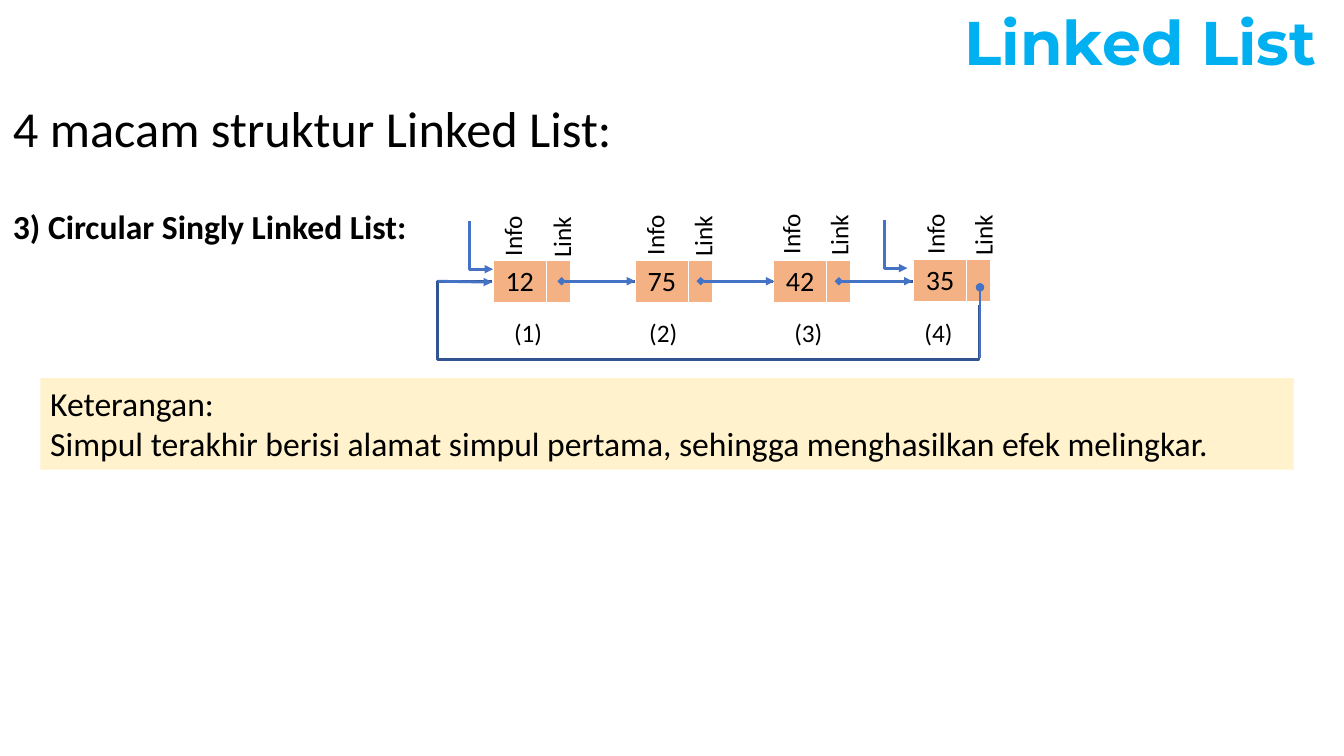
from lxml import etree
from pptx import Presentation
from pptx.dml.color import RGBColor
from pptx.enum.shapes import MSO_CONNECTOR, MSO_SHAPE
from pptx.enum.text import MSO_ANCHOR, MSO_AUTO_SIZE, PP_ALIGN
from pptx.oxml.ns import qn
from pptx.util import Inches, Pt

STRAIGHT, ELBOW = MSO_CONNECTOR.STRAIGHT, MSO_CONNECTOR.ELBOW
RECTANGLE = MSO_SHAPE.RECTANGLE
MIDDLE, TOP = MSO_ANCHOR.MIDDLE, MSO_ANCHOR.TOP
LEFT, CENTER, RIGHT = PP_ALIGN.LEFT, PP_ALIGN.CENTER, PP_ALIGN.RIGHT
FIT_SHAPE, NO_FIT = MSO_AUTO_SIZE.SHAPE_TO_FIT_TEXT, MSO_AUTO_SIZE.NONE

COLORS = {
    "title": "00B0F0",
    "text": "000000",
    "node": "F4B183",
    "border": "FFFFFF",
    "arrow": "4472C4",
    "loop": "325491",
    "note": "FFF2CC",
}

# value, node left, node top, Info left, Info top, Link left, number left
NODES = [
    ("12", 4.89, 2.58, 4.78, 2.14, 5.26, 5.0),
    ("75", 6.3, 2.58, 6.19, 2.13, 6.66, 6.34),
    ("42", 7.67, 2.58, 7.54, 2.12, 8.01, 7.78),
    ("35", 9.06, 2.57, 8.97, 2.12, 9.44, 9.07),
]
NODE_COLS = (0.53, 0.23)
NODE_HEIGHT = 0.43
LINK_Y = 2.79
LOOP_LEFT = 4.34


def rgb(name):
    return RGBColor.from_string(COLORS[name])


def add_run(p, text, size, color="text", font="Calibri", bold=False):
    r = p.add_run()
    r.text = text
    r.font.size = Pt(size)
    r.font.name = font
    r.font.bold = bold
    r.font.color.rgb = rgb(color)


def add_title(slide, text):
    sp = slide.shapes.title
    sp.left, sp.top = Inches(0), Inches(-0.03)
    sp.width, sp.height = Inches(13.16), Inches(0.96)
    tf = sp.text_frame
    tf.vertical_anchor = MIDDLE
    tf.auto_size = NO_FIT
    p = tf.paragraphs[0]
    p.alignment = RIGHT
    p.line_spacing = 0.9
    add_run(p, text, 44, "title", "Montserrat", True)


def add_label(slide, text, x, y, w, h, size, bold=False, wrap=False, rotation=0):
    sp = slide.shapes.add_textbox(Inches(x), Inches(y), Inches(w), Inches(h))
    sp.rotation = rotation
    tf = sp.text_frame
    tf.word_wrap = wrap
    tf.auto_size = FIT_SHAPE
    add_run(tf.paragraphs[0], text, size, bold=bold)


def add_rectangle(slide, x, y, w, h):
    sp = slide.shapes.add_shape(RECTANGLE, Inches(x), Inches(y), Inches(w), Inches(h))
    sp.shadow.inherit = False
    return sp


def add_loop(slide):
    """Outline that carries the last link back to the first node."""
    sp = add_rectangle(slide, LOOP_LEFT, LINK_Y, 5.37, 0.78)
    sp.fill.background()
    sp.line.color.rgb = rgb("loop")
    sp.line.width = Pt(2)


def add_note(slide, lines):
    sp = add_rectangle(slide, 0.4, 3.75, 12.43, 0.91)
    sp.fill.solid()
    sp.fill.fore_color.rgb = rgb("note")
    sp.line.fill.background()
    tf = sp.text_frame
    tf.word_wrap = True
    tf.vertical_anchor = TOP
    tf.auto_size = FIT_SHAPE
    for i, line in enumerate(lines):
        p = tf.add_paragraph() if i else tf.paragraphs[0]
        p.alignment = LEFT
        add_run(p, line, 24)


def set_borders(cell):
    tc_pr = cell._tc.get_or_add_tcPr()
    for side, points in (("L", 1), ("R", 1), ("T", 1), ("B", 3)):
        ln = etree.SubElement(tc_pr, qn(f"a:ln{side}"), w=str(Pt(points)))
        fill = etree.SubElement(ln, qn("a:solidFill"))
        etree.SubElement(fill, qn("a:srgbClr"), val=COLORS["border"])


def add_node(slide, value, x, y):
    frame = slide.shapes.add_table(1, 2, Inches(x), Inches(y),
                                   Inches(sum(NODE_COLS)), Inches(NODE_HEIGHT))
    table = frame.table
    table.first_row = table.horz_banding = False
    for i, width in enumerate(NODE_COLS):
        table.columns[i].width = Inches(width)
        cell = table.cell(0, i)
        set_borders(cell)
        cell.fill.solid()
        cell.fill.fore_color.rgb = rgb("node")
    p = table.cell(0, 0).text_frame.paragraphs[0]
    p.alignment = CENTER
    add_run(p, value, 20)


def add_arrow(slide, x1, y1, x2, y2, head=None, tail=None, kind=STRAIGHT):
    line = slide.shapes.add_connector(kind, Inches(x1), Inches(y1), Inches(x2), Inches(y2))
    line.line.color.rgb = rgb("arrow")
    line.line.width = Pt(2)
    ln = line.line._get_or_add_ln()
    for tag, end in (("a:headEnd", head), ("a:tailEnd", tail)):
        if end:
            etree.SubElement(ln, qn(tag), type=end)
    etree.SubElement(line._element.spPr, qn("a:effectLst"))
    return line


def add_pointer(slide, x, y, drop=0.48, reach=0.23):
    """Arrow that drops from (x, y) and then turns right."""
    cx, cy = x + reach / 2, y + drop / 2
    line = add_arrow(slide, cx + drop / 2, cy - reach / 2, cx - drop / 2, cy + reach / 2,
                     tail="triangle", kind=ELBOW)
    sp_pr = line._element.spPr
    sp_pr.find(qn("a:xfrm")).set("rot", str(270 * 60000))
    sp_pr.find(qn("a:prstGeom")).set("prst", "bentConnector2")


def main():
    prs = Presentation()
    prs.slide_width, prs.slide_height = Inches(13.33), Inches(7.5)
    slide = prs.slides.add_slide(prs.slide_layouts[5])

    add_title(slide, "Linked List")
    add_label(slide, "4 macam struktur Linked List:", 0.03, 0.91, 8.54, 0.71, 36, wrap=True)
    add_label(slide, "3) Circular Singly Linked List:", 0.03, 1.99, 5.39, 0.5, 24,
              bold=True, wrap=True)

    add_loop(slide)
    for i, (value, x, y, info_x, info_y, link_x, number_x) in enumerate(NODES, 1):
        add_node(slide, value, x, y)
        add_label(slide, "Info", info_x, info_y, 0.6, 0.4, 18, rotation=270)
        add_label(slide, "Link", link_x, info_y + 0.01, 0.61, 0.4, 18, rotation=270)
        add_label(slide, f"({i})", number_x, 3.1, 0.48, 0.4, 18)

    for x in (5.57, 6.95, 8.32):
        add_arrow(slide, x, LINK_Y, x + 0.73, LINK_Y, "diamond", "triangle")
    add_pointer(slide, 4.66, 2.19)
    add_pointer(slide, 8.77, 2.18)
    add_arrow(slide, LOOP_LEFT, LINK_Y, 4.88, 2.8, tail="triangle")
    add_arrow(slide, 9.72, 2.85, 9.72, 3.55, head="oval")

    add_note(slide, [
        "Keterangan:",
        "Simpul terakhir berisi alamat simpul pertama, sehingga menghasilkan efek melingkar.",
    ])
    prs.save("out.pptx")


if __name__ == "__main__":
    main()
